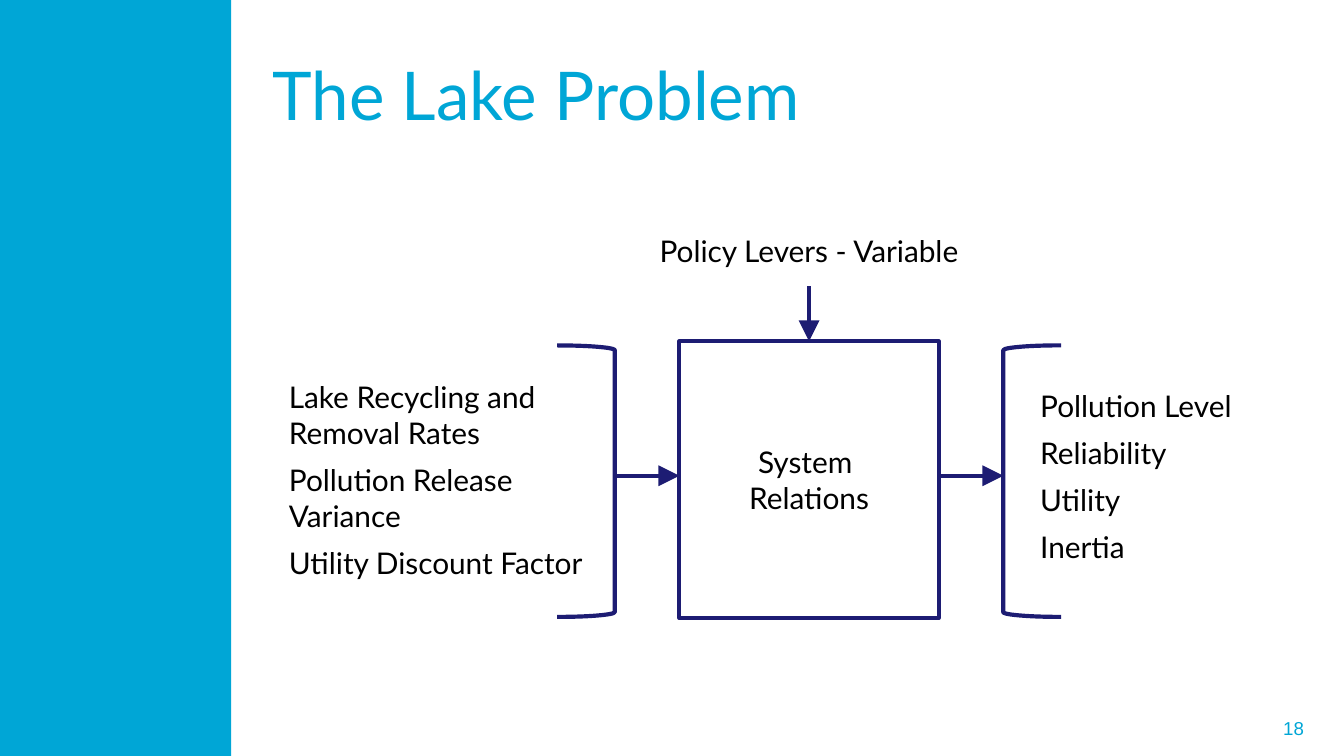
from pptx import Presentation
from pptx.dml.color import RGBColor
from pptx.enum.shapes import MSO_CONNECTOR, MSO_SHAPE
from pptx.enum.text import MSO_ANCHOR, PP_ALIGN
from pptx.oxml.ns import qn
from pptx.util import Inches, Pt
from lxml.etree import SubElement

COLORS = {"cyan": "00A6D6", "navy": "1D1C73", "black": "000000"}
W = 10
H = W * 9 / 16

# The flow is symmetric about the centre of the system box
CENTER, FLOW_Y = 6.02, 3.54
BOX_W, BOX_H, BOX_TOP = 1.93, 2.06, 2.54
GAP = 0.48
BRACKET_W, BRACKET_H, BRACKET_TOP = 0.43, 2.02, 2.57
BOX_L, BOX_R = CENTER - BOX_W / 2, CENTER + BOX_W / 2
IN_X, OUT_X = BOX_L - GAP, BOX_R + GAP


def rgb(name):
    return RGBColor.from_string(COLORS[name])


def write(s, lines, size=16, color="black", align=PP_ALIGN.LEFT, after=0,
          inset=(0.06, 0.03), font="Lato"):
    """Fill a shape's text frame with one paragraph per line."""
    tf = s.text_frame
    tf.word_wrap = True
    tf.vertical_anchor = MSO_ANCHOR.MIDDLE
    tf.margin_left = tf.margin_right = Inches(inset[0])
    tf.margin_top = tf.margin_bottom = Inches(inset[1])
    tf.text = "\n".join(lines)
    for p in tf.paragraphs:
        p.alignment = align
        p.space_after = Pt(after)
        for r in p.runs:
            r.font.name = font
            r.font.size = Pt(size)
            r.font.color.rgb = rgb(color)


prs = Presentation()
prs.slide_width, prs.slide_height = Inches(W), Inches(H)
sp = prs.slides.add_slide(prs.slide_layouts[6]).shapes

# Shapes: preset, left, top, width, height, fill, line width, text
SHAPES = [
    (MSO_SHAPE.RECTANGLE, 0, 0, 1.72, H, "cyan", None, None),
    (MSO_SHAPE.RECTANGLE, BOX_L, BOX_TOP, BOX_W, BOX_H, None, 2, ["System ", "Relations"]),
    (MSO_SHAPE.RIGHT_BRACKET, IN_X - BRACKET_W, BRACKET_TOP, BRACKET_W, BRACKET_H,
     None, 2.25, None),
    (MSO_SHAPE.LEFT_BRACKET, OUT_X, BRACKET_TOP, BRACKET_W, BRACKET_H, None, 2.25, None),
]
for preset, x, y, w, h, fill, line, lines in SHAPES:
    s = sp.add_shape(preset, Inches(x), Inches(y), Inches(w), Inches(h))
    s.shadow.inherit = False
    if fill:
        s.fill.solid()
        s.fill.fore_color.rgb = rgb(fill)
        s.line.fill.background()
    else:
        s.fill.background()
        s.line.color.rgb = rgb("navy")
        s.line.width = Pt(line)
    if lines:
        write(s, lines, align=PP_ALIGN.CENTER)

# Arrows: levers to box, inputs to box, box to outputs
ARROWS = [
    (CENTER, BOX_TOP - 0.41, CENTER, BOX_TOP),
    (IN_X, FLOW_Y, BOX_L, FLOW_Y),
    (BOX_R, FLOW_Y, OUT_X, FLOW_Y),
]
for ends in ARROWS:
    c = sp.add_connector(MSO_CONNECTOR.STRAIGHT, *[Inches(v) for v in ends])
    c.line.color.rgb = rgb("navy")
    c.line.width = Pt(2.25)
    ln = c._element.spPr.find(qn("a:ln"))
    SubElement(ln, qn("a:tailEnd"), type="triangle", w="lg", len="lg")
    SubElement(c._element.spPr, qn("a:effectLst"))

# Text: left, top, width, height, lines, format
wide = (0.1, 0.05)
TEXTS = [
    (1.93, 0.23, 7.77, 0.94, ["The Lake Problem"], dict(size=36, color="cyan", inset=wide)),
    (CENTER - 1.5, 1.6, 3, 0.53, ["Policy Levers - Variable"], dict(align=PP_ALIGN.CENTER)),
    (2.09, 2.73, 2.48, 1.68,
     ["Lake Recycling and Removal Rates", "Pollution Release Variance", "Utility Discount Factor"],
     dict(after=6)),
    (7.68, 2.89, 1.59, 1.3, ["Pollution Level", "Reliability", "Utility", "Inertia"],
     dict(after=6)),
    (7.27, 5.27, 2.53, 0.3, ["18"],
     dict(size=10, color="cyan", align=PP_ALIGN.RIGHT, inset=wide, font="Arial")),
]
for x, y, w, h, lines, fmt in TEXTS:
    write(sp.add_textbox(Inches(x), Inches(y), Inches(w), Inches(h)), lines, **fmt)

prs.save("out.pptx")
